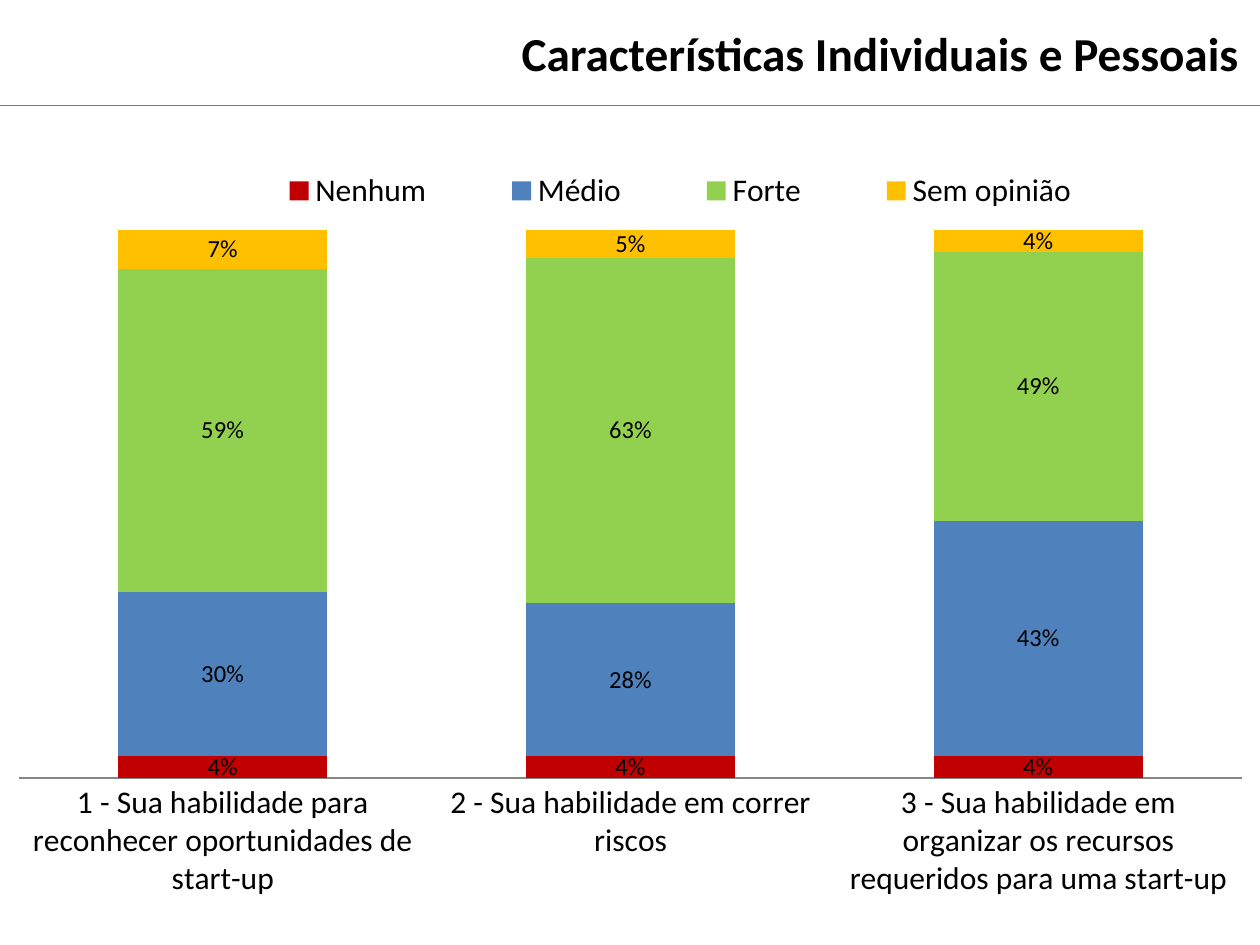
import pptx
import pptx.chart.data
import pptx.dml.color
import pptx.enum.chart
import pptx.enum.shapes
import pptx.enum.text
import pptx.oxml
import pptx.oxml.ns
import pptx.util

PX = 9144  # EMU per px, 100 px to the inch
FONT = "Calibri"


def color(hex_string):
    return pptx.dml.color.RGBColor.from_string(hex_string)


def write_text(shape, text, size, bold=False, fill="000000", align=None):
    paragraph = shape.text_frame.paragraphs[0]
    paragraph.alignment = align
    run = paragraph.add_run()
    run.text = text
    run.font.name = FONT
    run.font.size = pptx.util.Pt(size)
    run.font.bold = bold
    run.font.color.rgb = color(fill)


presentation = pptx.Presentation()
presentation.slide_width = 1000 * PX
presentation.slide_height = 750 * PX
slide = presentation.slides.add_slide(presentation.slide_layouts[5])

# Title
title = slide.shapes.title
title.left, title.top, title.width, title.height = [n * PX for n in (114, 19, 879, 46)]
title.text_frame.auto_size = pptx.enum.text.MSO_AUTO_SIZE.NONE
title.text_frame.vertical_anchor = pptx.enum.text.MSO_ANCHOR.MIDDLE
write_text(title, "Características Individuais e Pessoais", 27, bold=True,
           align=pptx.enum.text.PP_ALIGN.RIGHT)

# Chart data
answers = [
    ("Nenhum", (0.04, 0.04, 0.04), "C00000"),
    ("Médio", (0.30, 0.28, 0.43), "4F81BD"),
    ("Forte", (0.59, 0.63, 0.49), "92D050"),
    ("Sem opinião", (0.07, 0.05, 0.04), "FFC000"),
]
chart_data = pptx.chart.data.CategoryChartData(number_format="0%")
chart_data.categories = [
    "1 - Sua habilidade para reconhecer oportunidades de start-up",
    "2 - Sua habilidade em correr riscos",
    "3 - Sua habilidade em organizar os recursos requeridos para uma start-up",
]
for name, values, _ in answers:
    chart_data.add_series(name, values)

# Stacked columns
chart = slide.shapes.add_chart(
    pptx.enum.chart.XL_CHART_TYPE.COLUMN_STACKED_100,
    0, 85 * PX, 1000 * PX, 665 * PX, chart_data).chart
chart.has_title = False
chart.font.name = FONT
chart.font.size = pptx.util.Pt(10)
chart.font.color.rgb = color("000000")
plot = chart.plots[0]
plot.gap_width = 95
plot.overlap = 100
plot.vary_by_categories = False
for series, (_, _, fill) in zip(plot.series, answers):
    series.format.fill.solid()
    series.format.fill.fore_color.rgb = color(fill)
    labels = series.data_labels
    labels.show_value = True
    labels.number_format = "0%"
    labels.number_format_is_linked = False
    labels.font.size = pptx.util.Pt(14)

# Axes
category_axis = chart.category_axis
category_axis.major_tick_mark = pptx.enum.chart.XL_TICK_MARK.NONE
category_axis.tick_labels.font.size = pptx.util.Pt(18)
category_axis.format.line.color.rgb = color("878787")
chart.value_axis.visible = False
chart.value_axis.has_major_gridlines = False
chart.value_axis.maximum_scale = 1

# Legend
chart.has_legend = True
legend = chart.legend
legend.position = pptx.enum.chart.XL_LEGEND_POSITION.TOP
legend.include_in_layout = False
legend.font.size = pptx.util.Pt(18)

# Fixed places of plot and legend, as shares of the chart
qn = pptx.oxml.ns.qn
plot_area = chart.plots[0]._element.getparent()
for parent, index, target, place in (
    (plot_area, 0, '<c:layoutTarget val="inner"/>', (0.015, 0.147, 0.971, 0.654)),
    (legend._element, 1, "", (0.17, 0.06, 0.74, 0.08)),
):
    for old_layout in parent.findall(qn("c:layout")):
        parent.remove(old_layout)
    modes = "".join(f'<c:{axis}Mode val="edge"/>' for axis in "xy")
    sizes = "".join(f'<c:{key} val="{share}"/>' for key, share in zip("xywh", place))
    parent.insert(index, pptx.oxml.parse_xml(
        f'<c:layout {pptx.oxml.ns.nsdecls("c")}><c:manualLayout>'
        f"{target}{modes}{sizes}</c:manualLayout></c:layout>"))

# Rule under the title
rule = slide.shapes.add_connector(
    pptx.enum.shapes.MSO_CONNECTOR.STRAIGHT, 0, 84 * PX, 1000 * PX, 84 * PX)
rule.line.color.rgb = color("4B7EBC")
rule.line.width = pptx.util.Pt(0.75)
rule._element.spPr.append(pptx.oxml.parse_xml(
    f'<a:effectLst {pptx.oxml.ns.nsdecls("a")}/>'))

presentation.save("out.pptx")
